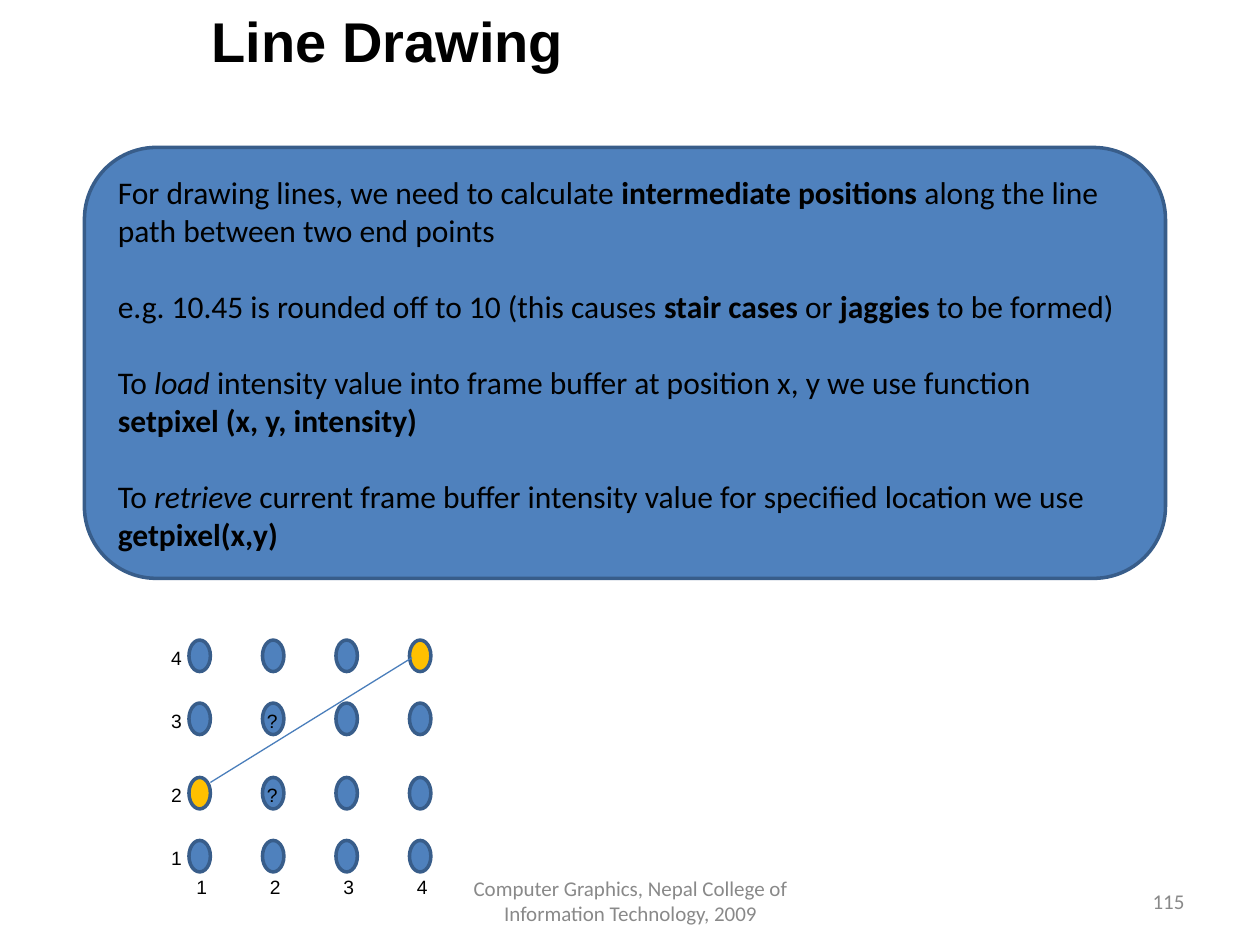
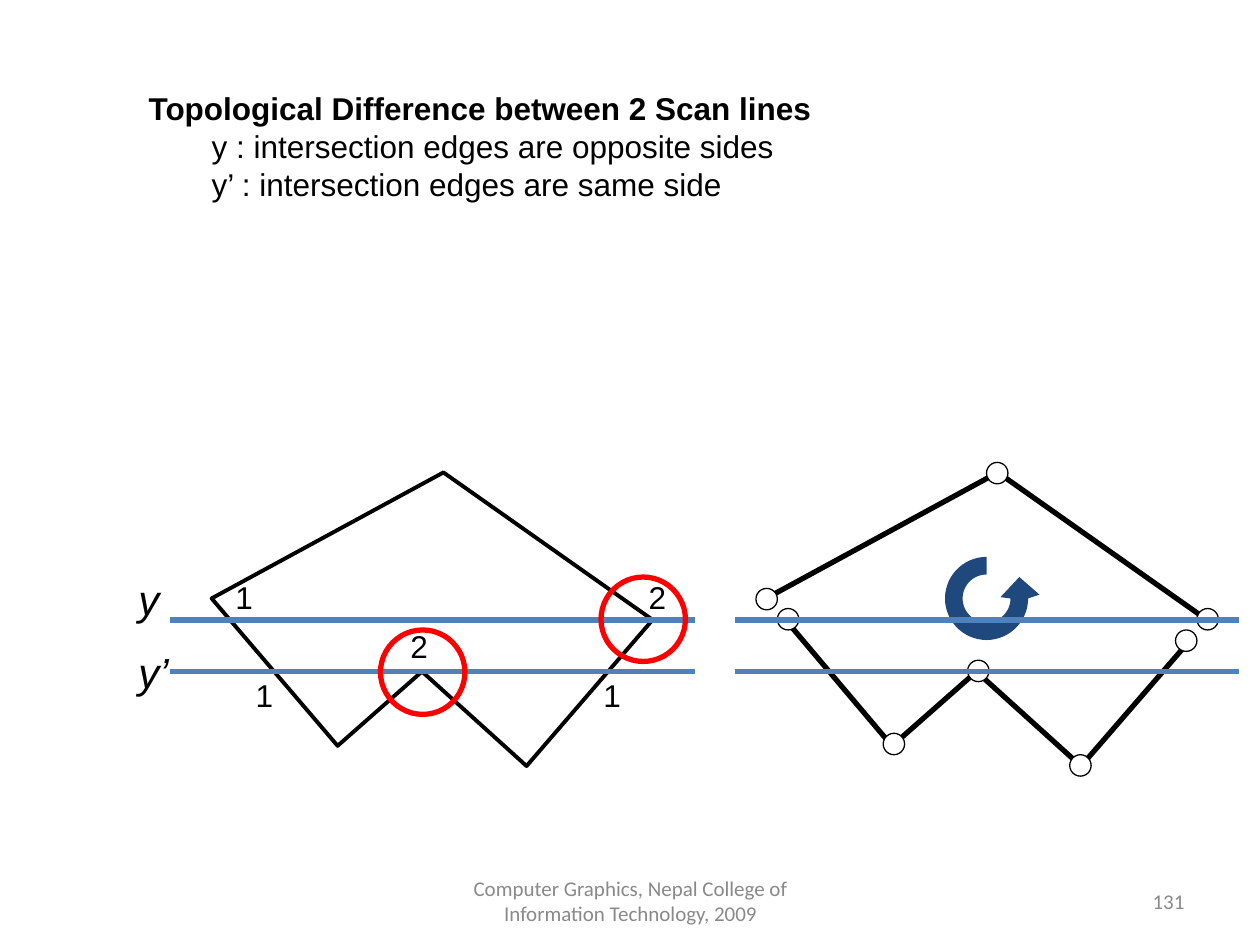
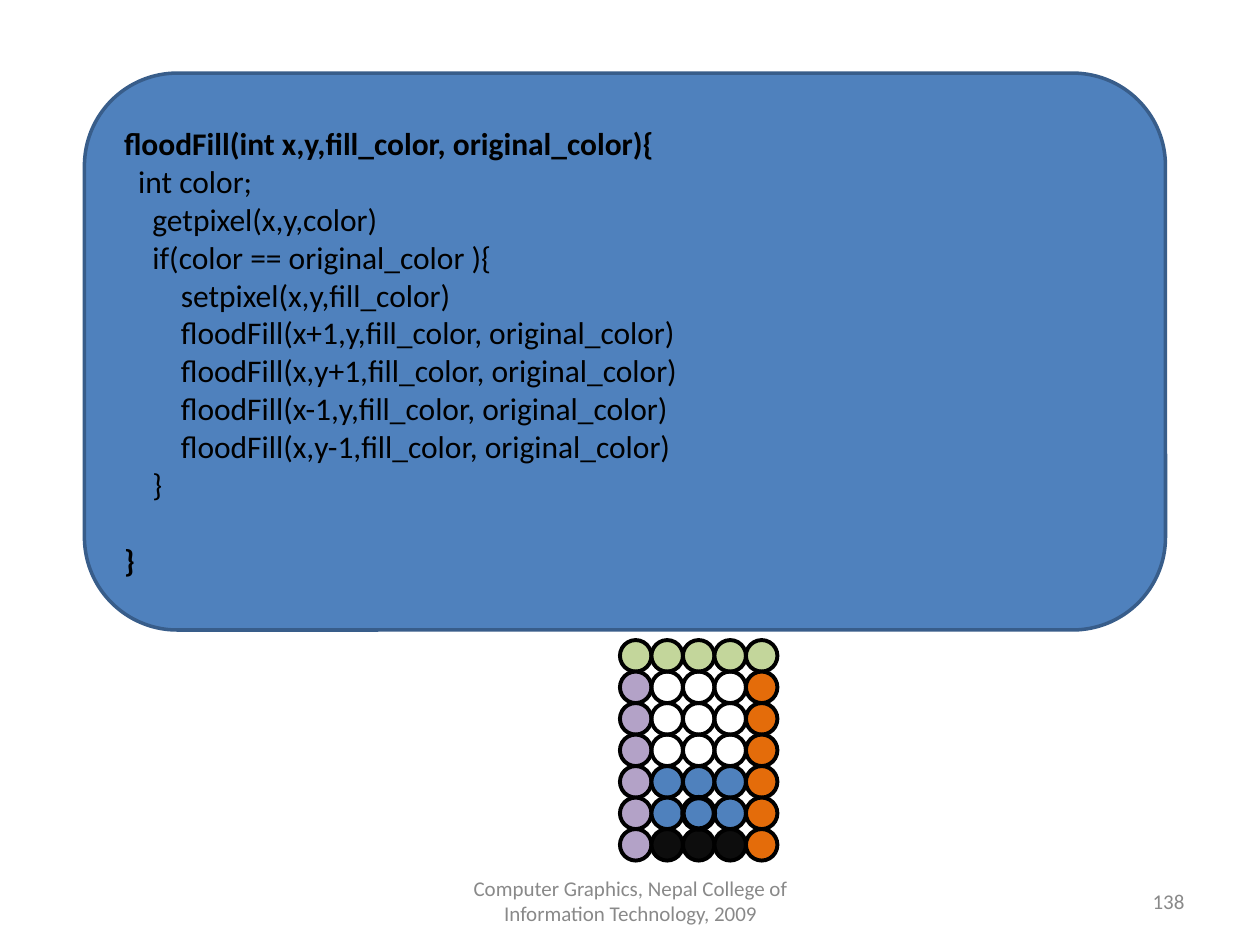
import math

import pptx
import pptx.dml.color
import pptx.enum.shapes
import pptx.enum.text
import pptx.oxml.ns
import pptx.util
from lxml import etree

Inches = pptx.util.Inches
RGBColor = pptx.dml.color.RGBColor
ALIGN = pptx.enum.text.PP_ALIGN
ANCHOR = pptx.enum.text.MSO_ANCHOR
SHAPE = pptx.enum.shapes.MSO_SHAPE

BLACK = RGBColor(0x00, 0x00, 0x00)
WHITE = RGBColor(0xFF, 0xFF, 0xFF)
GREY = RGBColor(0x89, 0x89, 0x89)
BLUE = RGBColor(0x4F, 0x81, 0xBD)
EDGE_BLUE = RGBColor(0x38, 0x5D, 0x8A)
LINE_BLUE = RGBColor(0x4A, 0x7E, 0xBB)
NAVY = RGBColor(0x1F, 0x49, 0x7D)
AMBER = RGBColor(0xFF, 0xC0, 0x00)
RED = RGBColor(0xFF, 0x00, 0x00)
GREEN = RGBColor(0xC3, 0xD6, 0x9B)
PURPLE = RGBColor(0xB3, 0xA2, 0xC7)
ORANGE = RGBColor(0xE4, 0x6C, 0x0A)
CHARCOAL = RGBColor(0x0D, 0x0D, 0x0D)

HEADING_FONT, BODY_FONT = "Arial", "Calibri"
FOOTER = "Computer Graphics, Nepal College of Information Technology, 2009"
TITLE_AND_BODY, TITLE_ONLY, BLANK = 1, 5, 6


class Deck:
    """Holds the shared style and the slide being built."""

    def __init__(self):
        self.prs = pptx.Presentation()
        self.prs.slide_width, self.prs.slide_height = Inches(10), Inches(7.5)
        self.slide = None

    def new_slide(self, layout, number):
        self.slide = self.prs.slides.add_slide(self.prs.slide_layouts[layout])
        footer_style = dict(size=12, font=BODY_FONT, color=GREY, anchor=ANCHOR.MIDDLE)
        self.label(7.17, 6.95, 2.33, 0.4, number, align=ALIGN.RIGHT, **footer_style)
        self.label(3.42, 6.95, 3.17, 0.4, FOOTER, align=ALIGN.CENTER, **footer_style)

    def set_text(self, shape, paragraphs, size, font=HEADING_FONT, color=BLACK,
                 align=ALIGN.LEFT, anchor=ANCHOR.TOP, gaps=()):
        """Each paragraph is a list of (text, style); gaps lists those set one line apart."""
        frame = shape.text_frame
        frame.word_wrap = True
        frame.auto_size = pptx.enum.text.MSO_AUTO_SIZE.NONE
        frame.vertical_anchor = anchor
        for index, runs in enumerate(paragraphs):
            paragraph = frame.add_paragraph() if index else frame.paragraphs[0]
            paragraph.alignment = align
            paragraph.space_before = pptx.util.Pt(22 if index in gaps else 0)
            for text, style in runs:
                run = paragraph.add_run()
                run.text = text
                run.font.name, run.font.size = font, pptx.util.Pt(size)
                run.font.bold, run.font.italic = "b" in style, "i" in style
                run.font.color.rgb = color

    def label(self, x, y, width, height, words, size, style="", **options):
        box = self.slide.shapes.add_textbox(*map(Inches, (x, y, width, height)))
        self.set_text(box, [[(words, style)]], size, **options)

    def placeholder(self, shape, x, y, width, height, paragraphs, size):
        shape.left, shape.top = Inches(x), Inches(y)
        shape.width, shape.height = Inches(width), Inches(height)
        self.set_text(shape, paragraphs, size)

    def paint(self, shape, fill, edge, weight):
        shape.shadow.inherit = False
        if fill is None:
            shape.fill.background()
        else:
            shape.fill.solid()
            shape.fill.fore_color.rgb = fill
        if edge is None:
            shape.line.fill.background()
        else:
            shape.line.color.rgb = edge
            shape.line.width = pptx.util.Pt(weight)

    def panel(self, y, height, paragraphs, gaps):
        panel = self.slide.shapes.add_shape(
            SHAPE.ROUNDED_RECTANGLE, *map(Inches, (0.67, y, 8.58, height)))
        self.paint(panel, BLUE, EDGE_BLUE, 2)
        self.set_text(panel, paragraphs, 18, BODY_FONT, anchor=ANCHOR.MIDDLE, gaps=gaps)

    def ellipse(self, x, y, width, height, fill, edge, weight):
        ellipse = self.slide.shapes.add_shape(
            SHAPE.OVAL, *map(Inches, (x, y, width, height)))
        self.paint(ellipse, fill, edge, weight)

    def outline(self, points, closed=False, fill=None, edge=BLACK, weight=3.0):
        start, *rest = [(Inches(x), Inches(y)) for x, y in points]
        builder = self.slide.shapes.build_freeform(*start, scale=1.0)
        builder.add_line_segments(rest, close=closed)
        self.paint(builder.convert_to_shape(), fill, edge, weight)

    def line(self, x1, y1, x2, y2, color, weight):
        line = self.slide.shapes.add_connector(
            pptx.enum.shapes.MSO_CONNECTOR.STRAIGHT, *map(Inches, (x1, y1, x2, y2)))
        line.line.color.rgb = color
        line.line.width = pptx.util.Pt(weight)
        etree.SubElement(line._element.spPr, pptx.oxml.ns.qn("a:effectLst"))


def line_drawing(deck):
    deck.new_slide(TITLE_ONLY, "115")
    deck.placeholder(deck.slide.shapes.title, 1.58, 0, 3.02, 0.94,
                     [[("Line Drawing", "b")]], 32)
    deck.panel(1.17, 3.42, [
        [("For drawing lines, we need to calculate ", ""),
         ("intermediate positions ", "b"),
         ("along the line path between two end points", "")],
        [("e.g. 10.45 is rounded off to 10 (this causes ", ""), ("stair cases ", "b"),
         ("or ", ""), ("jaggies", "b"), (" to be formed)", "")],
        [("To ", ""), ("load", "i"),
         (" intensity value into frame buffer at position x, y we use function", "")],
        [("setpixel (x, y, intensity)", "b")],
        [("To ", ""), ("retrieve", "i"),
         (" current frame buffer intensity value for specified location we use ", ""),
         ("getpixel(x,y)", "b")],
    ], gaps=(1, 2, 4))

    # Pixel grid, keyed by x and y from 1 to 4
    columns = {x: 1.5 + (x - 1) * 1.75 / 3 for x in range(1, 5)}
    rows = {4: 5.08, 3: 5.58, 2: 6.17, 1: 6.67}
    end_points = {(1, 2), (4, 4)}
    for x, left in columns.items():
        for y, top in rows.items():
            fill = AMBER if (x, y) in end_points else BLUE
            deck.ellipse(left, top, 0.17, 0.25, fill, EDGE_BLUE, 2)
    for y in (3, 2):
        deck.label(2.02, rows[y], 0.29, 0.29, "?", 11)
    deck.line(1.67, 6.21, 3.27, 5.22, LINE_BLUE, 0.75)

    # Axis numbers
    for x, left in columns.items():
        deck.label(left - 0.04, 6.9, 0.29, 0.29, str(x), 11)
    for y, top in rows.items():
        deck.label(1.26, top, 0.29, 0.29, str(y), 11)


def scan_lines(deck):
    deck.new_slide(TITLE_AND_BODY, "131")
    title, body = deck.slide.placeholders
    title._element.getparent().remove(title._element)
    deck.placeholder(body, 1.08, 0.66, 7.92, 1.01, [
        [("Topological Difference between 2 Scan lines", "b")],
        [("y : intersection edges are opposite sides", "")],
        [("y’ : intersection edges are same side", "")],
    ], 18)
    for index, paragraph in enumerate(body.text_frame.paragraphs):
        paragraph.level = min(index, 1)
        properties = paragraph._p.get_or_add_pPr()
        properties.set("marL", str(Inches(0.5 * paragraph.level)))
        properties.set("indent", "0")
        etree.SubElement(properties, pptx.oxml.ns.qn("a:buNone"))

    scan_y, scan_y_prime = 4.92, 5.33

    # Polygon with its intersection counts
    deck.outline([(1.68, 4.75), (2.68, 5.92), (3.35, 5.33), (4.18, 6.08),
                  (5.18, 4.92), (3.52, 3.75)], closed=True, weight=2.25)
    for y in (scan_y_prime, scan_y):
        deck.line(1.35, y, 5.52, y, BLUE, 3)
    for top, width, name in ((4.5, 0.35, "y"), (5.08, 0.46, "y’")):
        deck.label(1, top, width, 0.5, name, 24, "i", anchor=ANCHOR.MIDDLE)
    for left, top in ((3.02, 5), (4.77, 4.58)):
        deck.ellipse(left, top, 0.67, 0.67, None, RED, 3)
    for left, top, count in ((1.93, 5.32, "1"), (3.16, 4.93, "2"), (4.69, 5.32, "1"),
                             (1.77, 4.54, "1"), (5.05, 4.54, "2")):
        deck.label(left, top, 0.34, 0.43, count, 18)

    # Turning arrow: three quarters of a ring, then the head
    def arc(radius):
        angles = [math.radians(degrees) for degrees in range(0, 271, 6)]
        return [(7.83 + radius * math.cos(a), 4.75 + radius * math.sin(a)) for a in angles]

    head = [(8.25, 4.72), (8.09, 4.58), (7.94, 4.74)]
    deck.outline(arc(0.19) + arc(0.33)[::-1] + head, closed=True, fill=NAVY, edge=None)

    # Polygon split into edge chains
    deck.outline([(6.21, 4.89), (7.08, 5.92), (7.75, 5.33), (8.58, 6.08), (9.42, 5.11)])
    deck.outline([(9.58, 4.92), (7.92, 3.75), (6.08, 4.75)])
    for left, top in ((6.17, 4.83), (9.33, 5), (9.5, 4.83), (6, 4.67),
                      (7.83, 3.67), (7.01, 5.82), (7.68, 5.24), (8.49, 5.99)):
        deck.ellipse(left, top, 0.17, 0.17, WHITE, BLACK, 0.75)
    for y in (scan_y_prime, scan_y):
        deck.line(5.83, y, 9.83, y, BLUE, 3)


def flood_fill(deck):
    deck.new_slide(BLANK, "138")
    code = [
        "floodFill(int x,y,fill_color, original_color){",
        "  int color;",
        "    getpixel(x,y,color)",
        "    if(color == original_color ){",
        "        setpixel(x,y,fill_color)",
        "        floodFill(x+1,y,fill_color, original_color)",
        "        floodFill(x,y+1,fill_color, original_color)",
        "        floodFill(x-1,y,fill_color, original_color)",
        "        floodFill(x,y-1,fill_color, original_color)",
        "    }",
        "}",
    ]
    last = len(code) - 1
    deck.panel(0.58, 4.42, [[(statement, "b" if index in (0, last) else "")]
                            for index, statement in enumerate(code)], gaps=(last,))

    # Pixels: one letter a colour, a dot for an empty pixel
    colors = {"G": GREEN, "P": PURPLE, "O": ORANGE, "B": BLUE, "K": CHARCOAL, ".": None}
    region = ["GGGGG", "P...O", "P...O", "P...O", "PBBBO", "PBBBO", "PKKKO"]
    size = 0.25
    for row, pixels in enumerate(region):
        for column, pixel in enumerate(pixels):
            deck.ellipse(4.92 + column * size, 5.08 + row * size, size, size,
                         colors[pixel], BLACK, 2.25)
    # Seed pixel
    deck.ellipse(4.92 + 2 * size, 5.08 + 5 * size, size, size, None, BLACK, 3)


def main():
    deck = Deck()
    line_drawing(deck)
    scan_lines(deck)
    flood_fill(deck)
    deck.prs.save("out.pptx")


if __name__ == "__main__":
    main()
